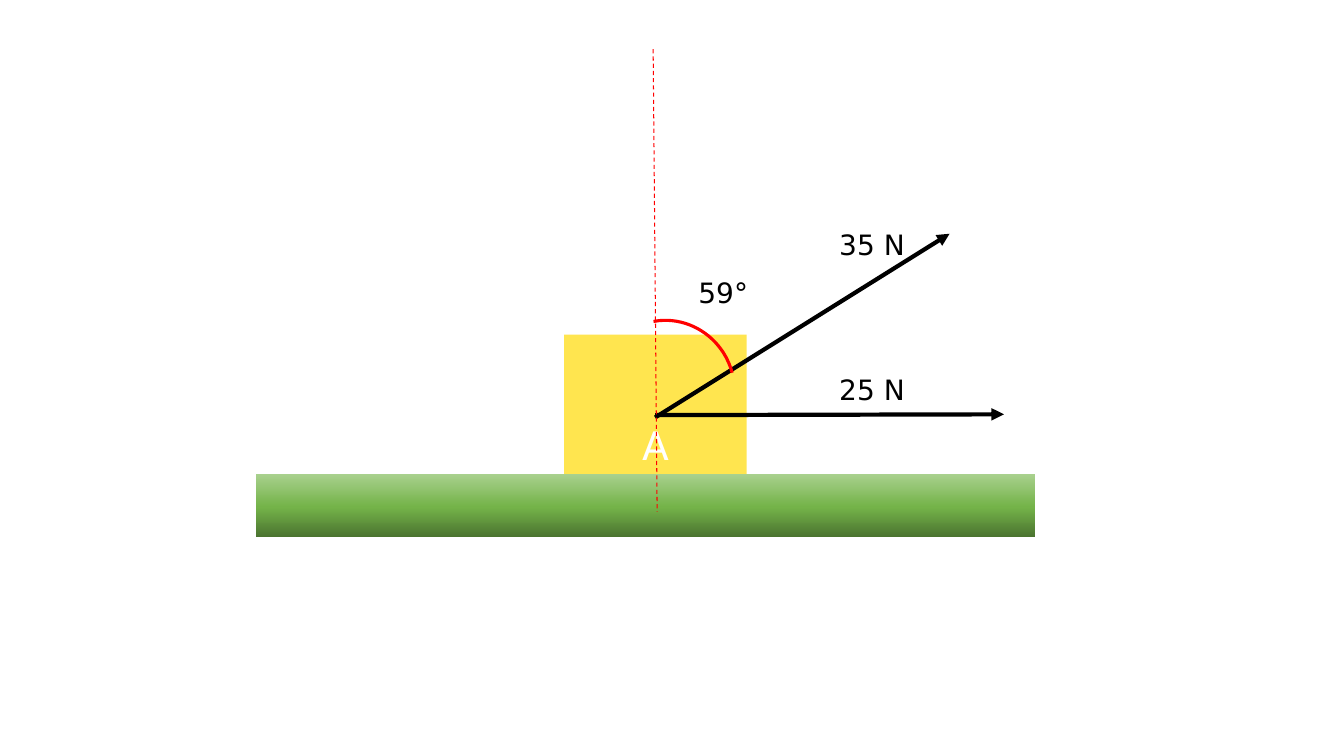
from copy import deepcopy
from dataclasses import dataclass

from pptx import Presentation
from pptx.dml.color import RGBColor
from pptx.enum.dml import MSO_LINE
from pptx.enum.shapes import MSO_CONNECTOR, MSO_SHAPE
from pptx.enum.text import MSO_ANCHOR, MSO_AUTO_SIZE, PP_ALIGN
from pptx.oxml.ns import qn
from pptx.shapes.autoshape import Shape
from pptx.slide import Slide
from pptx.text.text import TextFrame
from pptx.util import Cm, Pt
from lxml.etree import SubElement

FONT = "DejaVu Sans"
BLACK = RGBColor(0x00, 0x00, 0x00)
WHITE = RGBColor(0xFF, 0xFF, 0xFF)
RED = RGBColor(0xFF, 0x00, 0x00)
YELLOW = RGBColor(0xFF, 0xE5, 0x4F)
DARK_GREEN = RGBColor(0x4B, 0x74, 0x30)
MID_GREEN = RGBColor(0x74, 0xB3, 0x49)
LIGHT_GREEN = RGBColor(0xA9, 0xD1, 0x8E)
GROUND_STOPS = [(0, DARK_GREEN), (0.48, MID_GREEN), (1, LIGHT_GREEN)]


@dataclass
class Box:
    left: float
    top: float
    width: float
    height: float


@dataclass
class Line:
    start: tuple[float, float]
    end: tuple[float, float]
    color: RGBColor
    weight: float
    arrow: bool = False


@dataclass
class Label:
    text: str
    box: Box


BLOCK = Box(14.22, 8.43, 4.6, 3.51)
GROUND = Box(6.45, 11.94, 19.63, 1.6)
ANGLE_ARC = Box(15.19, 8.05, 3.3, 3.45)
LINES = [
    Line((16.51, 10.46), (25.3, 10.44), BLACK, 3, arrow=True),
    Line((16.51, 10.52), (23.93, 5.89), BLACK, 3, arrow=True),
    Line((16.46, 1.24), (16.56, 12.9), RED, 0.75),
]
LABELS = [
    Label("59°", Box(17.35, 6.83, 1.8, 1.12)),
    Label("35 N", Box(20.9, 5.61, 2.21, 1.12)),
    Label("25 N", Box(20.9, 9.27, 2.21, 1.12)),
]


def write(text_frame: TextFrame, text: str, size: float, color: RGBColor) -> None:
    text_frame.text = text
    font = text_frame.paragraphs[0].runs[0].font
    font.name = FONT
    font.size = Pt(size)
    font.color.rgb = color


def add_shape(slide: Slide, kind: MSO_SHAPE, box: Box) -> Shape:
    shape = slide.shapes.add_shape(
        kind, Cm(box.left), Cm(box.top), Cm(box.width), Cm(box.height))
    shape.shadow.inherit = False
    shape.line.fill.background()
    return shape


def add_block(slide: Slide) -> None:
    block = add_shape(slide, MSO_SHAPE.RECTANGLE, BLOCK)
    block.fill.solid()
    block.fill.fore_color.rgb = YELLOW
    write(block.text_frame, "A", 28, WHITE)
    block.text_frame.vertical_anchor = MSO_ANCHOR.BOTTOM
    block.text_frame.paragraphs[0].alignment = PP_ALIGN.CENTER


def add_ground(slide: Slide) -> None:
    ground = add_shape(slide, MSO_SHAPE.RECTANGLE, GROUND)
    ground.fill.gradient()
    ground.fill.gradient_angle = 90
    # A new gradient has two stops; the ground needs a third
    first_stop = next(ground._element.iter(qn("a:gs")))
    first_stop.addnext(deepcopy(first_stop))
    for stop, (position, color) in zip(ground.fill.gradient_stops, GROUND_STOPS):
        stop.position = position
        stop.color.rgb = color


def add_line(slide: Slide, line: Line) -> None:
    connector = slide.shapes.add_connector(
        MSO_CONNECTOR.STRAIGHT, *map(Cm, line.start + line.end))
    connector.line.color.rgb = line.color
    connector.line.width = Pt(line.weight)
    if line.arrow:
        SubElement(connector.line._get_or_add_ln(), qn("a:tailEnd"), type="triangle")
    else:
        connector.line.dash_style = MSO_LINE.DASH
    SubElement(connector._element.spPr, qn("a:effectLst"))


def add_angle_arc(slide: Slide) -> None:
    arc = add_shape(slide, MSO_SHAPE.ARC, ANGLE_ARC)
    arc.fill.background()
    arc.line.color.rgb = RED
    arc.line.width = Pt(2.25)
    arc.rotation = 327.5
    # Arc angles are 60000ths of a degree, adjustments 100000ths
    for index, degrees in enumerate((290.07, 19.18)):
        arc.adjustments[index] = degrees * 0.6


def add_label(slide: Slide, label: Label) -> None:
    box = label.box
    text_box = slide.shapes.add_textbox(
        Cm(box.left), Cm(box.top), Cm(box.width), Cm(box.height))
    text_box.text_frame.word_wrap = False
    text_box.text_frame.auto_size = MSO_AUTO_SIZE.SHAPE_TO_FIT_TEXT
    write(text_box.text_frame, label.text, 20, BLACK)


def main() -> None:
    presentation = Presentation()
    presentation.slide_width = Cm(33.87)
    presentation.slide_height = Cm(19.05)
    slide = presentation.slides.add_slide(presentation.slide_layouts[6])

    # Block resting on the ground
    add_block(slide)
    add_ground(slide)

    # Forces, vertical reference and the angle between them
    for line in LINES:
        add_line(slide, line)
    add_angle_arc(slide)
    for label in LABELS:
        add_label(slide, label)

    presentation.save("out.pptx")


if __name__ == "__main__":
    main()
